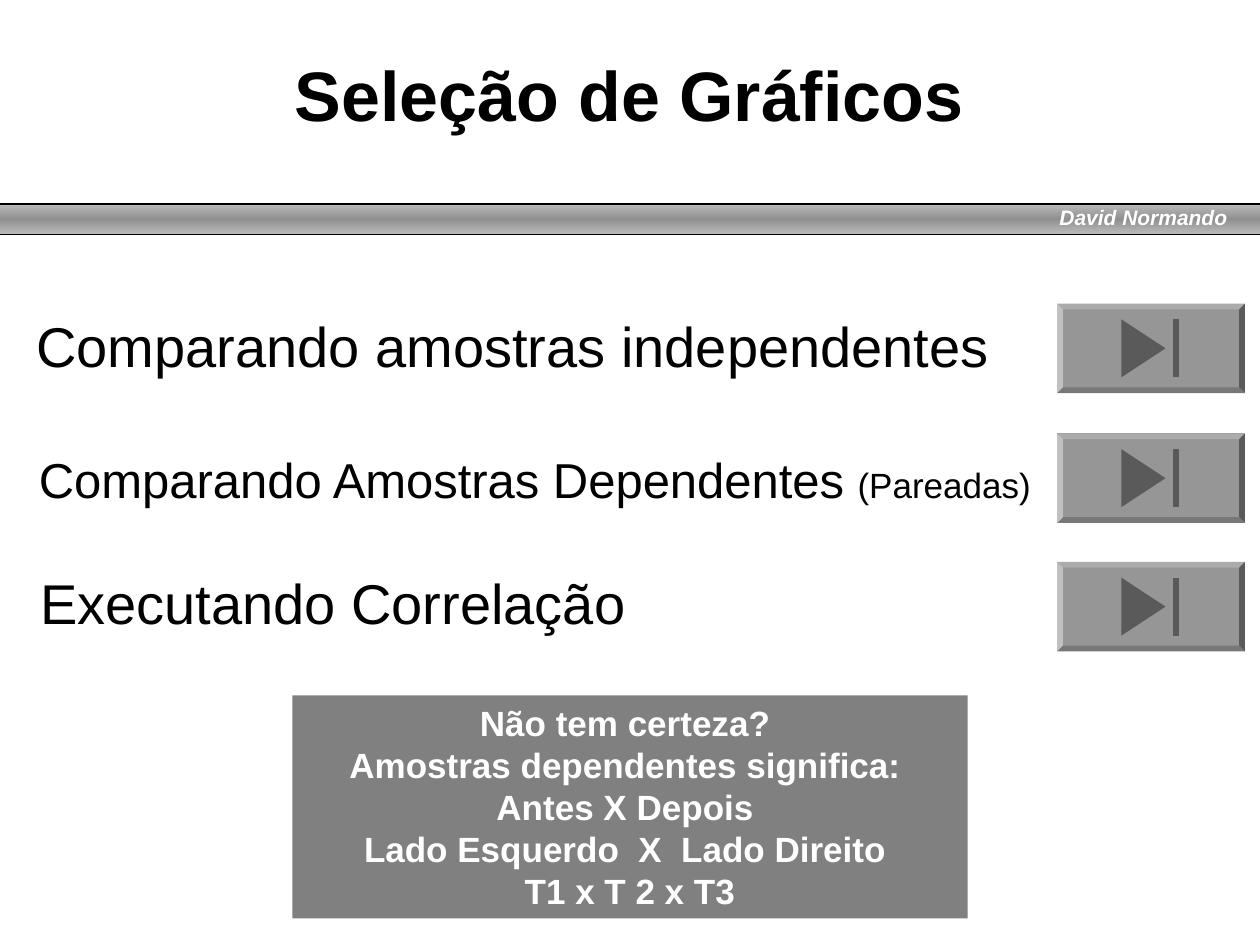
from copy import deepcopy
from lxml import etree
from pptx import Presentation
from pptx.dml.color import RGBColor
from pptx.enum.shapes import MSO_SHAPE as Shape
from pptx.enum.text import MSO_ANCHOR as Anchor, MSO_AUTO_SIZE as AutoSize, PP_ALIGN as Align
from pptx.oxml.ns import qn
from pptx.util import Inches, Pt

BLACK = RGBColor(0x00, 0x00, 0x00)
WHITE = RGBColor(0xFF, 0xFF, 0xFF)
BOX_GRAY = RGBColor(0x80, 0x80, 0x80)
BUTTON_GRAY = RGBColor(0x96, 0x96, 0x96)

prs = Presentation()
prs.slide_width, prs.slide_height = Inches(10), Inches(7.5)
slide = prs.slides.add_slide(prs.slide_layouts[6])
shapes = slide.shapes


def add_label(left, top, width, height, pieces, color=BLACK, bold=False, italic=False):
    """Add one line of text; pieces is a list of (text, point size)."""
    frame = shapes.add_textbox(Inches(left), Inches(top), Inches(width), Inches(height)).text_frame
    frame.word_wrap = False
    for text, size in pieces:
        run = frame.paragraphs[0].add_run()
        run.text = text
        font = run.font
        font.name, font.size, font.bold, font.italic = "Arial", Pt(size), bold, italic
        font.color.rgb = color


def add_button(contours):
    """Draw one freeform from (points, shade) pairs, each contour a path with its own shade."""
    builder = None
    for points, shade in contours:
        corners = [(Inches(x), Inches(y)) for x, y in points]
        if builder is None:
            builder = shapes.build_freeform(*corners[0])
        else:
            builder.move_to(*corners[0])
        builder.add_line_segments(corners[1:], close=True)
    button = builder.convert_to_shape()
    button.shadow.inherit = False
    button.fill.solid()
    button.fill.fore_color.rgb = BUTTON_GRAY
    button.line.fill.background()

    path_list = button._element.spPr.find(qn("a:custGeom")).find(qn("a:pathLst"))
    combined = path_list[0]
    path_list.remove(combined)
    steps = list(combined)
    starts = [i for i, step in enumerate(steps) if step.tag == qn("a:moveTo")]
    for (points, shade), start, end in zip(contours, starts, starts[1:] + [len(steps)]):
        outline = etree.SubElement(path_list, qn("a:path"), dict(combined.attrib))
        outline.set("fill", shade)
        for step in steps[start:end]:
            outline.append(deepcopy(step))


# Divider band with a translucent gradient
band = shapes.add_shape(Shape.RECTANGLE, Inches(-0.12), Inches(1.62), Inches(10.24), Inches(0.24))
band.shadow.inherit = False
band.line.color.rgb = BLACK
band.line.width = Pt(0.75)
band.fill.gradient()
band.fill.gradient_angle = 270
stops = band._element.spPr.find(qn("a:gradFill")).find(qn("a:gsLst"))
for stop in list(stops):
    stops.remove(stop)
for percent, shade in ((0, "969696"), (50, "454545"), (100, "969696")):
    stop = etree.SubElement(stops, qn("a:gs"), pos=str(percent * 1000))
    color = etree.SubElement(stop, qn("a:srgbClr"), val=shade)
    etree.SubElement(color, qn("a:alpha"), val="60000")

add_label(8.31, 1.57, 1.89, 0.52, [("David Normando", 12)], WHITE, bold=True, italic=True)

# Options
add_label(0.19, 2.42, 7.77, 0.64, [("Comparando amostras independentes", 32)])
add_label(0.22, 4.46, 4.85, 0.64, [("Executando Correlação", 32)])
add_label(0.21, 3.52, 8.09, 0.57,
          [("Comparando Amostras Dependentes ", 28), ("(Pareadas)", 20)])

# Bevelled "go to end" buttons
left, right, bevel = 8.39, 9.88, 0.045
bevel_shades = ("lightenLess", "darken", "darkenLess", "lighten")
for top in (2.41, 3.44, 4.46):
    bottom = top + 0.71
    middle = (top + bottom) / 2
    icon_top, icon_bottom = middle - 0.23, middle + 0.23
    outer = [(left, top), (right, top), (right, bottom), (left, bottom)]
    inner = [(left + bevel, top + bevel), (right - bevel, top + bevel),
             (right - bevel, bottom - bevel), (left + bevel, bottom - bevel)]
    contours = [(outer, "norm")]
    for i, shade in enumerate(bevel_shades):
        j = (i + 1) % 4
        contours.append(([outer[i], outer[j], inner[j], inner[i]], shade))
    contours.append(([(9.25, middle), (8.9, icon_bottom), (8.9, icon_top)], "darken"))
    contours.append(([(9.31, icon_top), (9.31, icon_bottom),
                      (9.36, icon_bottom), (9.36, icon_top)], "darken"))
    add_button(contours)

add_label(2.24, 0.36, 5.51, 0.77, [("Seleção de Gráficos", 40)], bold=True)

# Explanation box
hint = shapes.add_shape(Shape.RECTANGLE, Inches(2.32), Inches(5.52), Inches(5.36), Inches(1.77))
hint.shadow.inherit = False
hint.fill.solid()
hint.fill.fore_color.rgb = BOX_GRAY
hint.line.fill.background()
hint_frame = hint.text_frame
hint_frame.word_wrap = True
hint_frame.auto_size = AutoSize.SHAPE_TO_FIT_TEXT
hint_frame.vertical_anchor = Anchor.TOP
hint_frame.text = ("Não tem certeza? \vAmostras dependentes significa: \n"
                   "Antes X Depois \n"
                   "Lado Esquerdo  X  Lado Direito \vT1 x T 2 x T3")
for paragraph in hint_frame.paragraphs:
    paragraph.alignment = Align.CENTER
    for run in paragraph.runs:
        run.font.name, run.font.size, run.font.bold = "Arial", Pt(20), True
        run.font.color.rgb = WHITE

prs.save("out.pptx")
